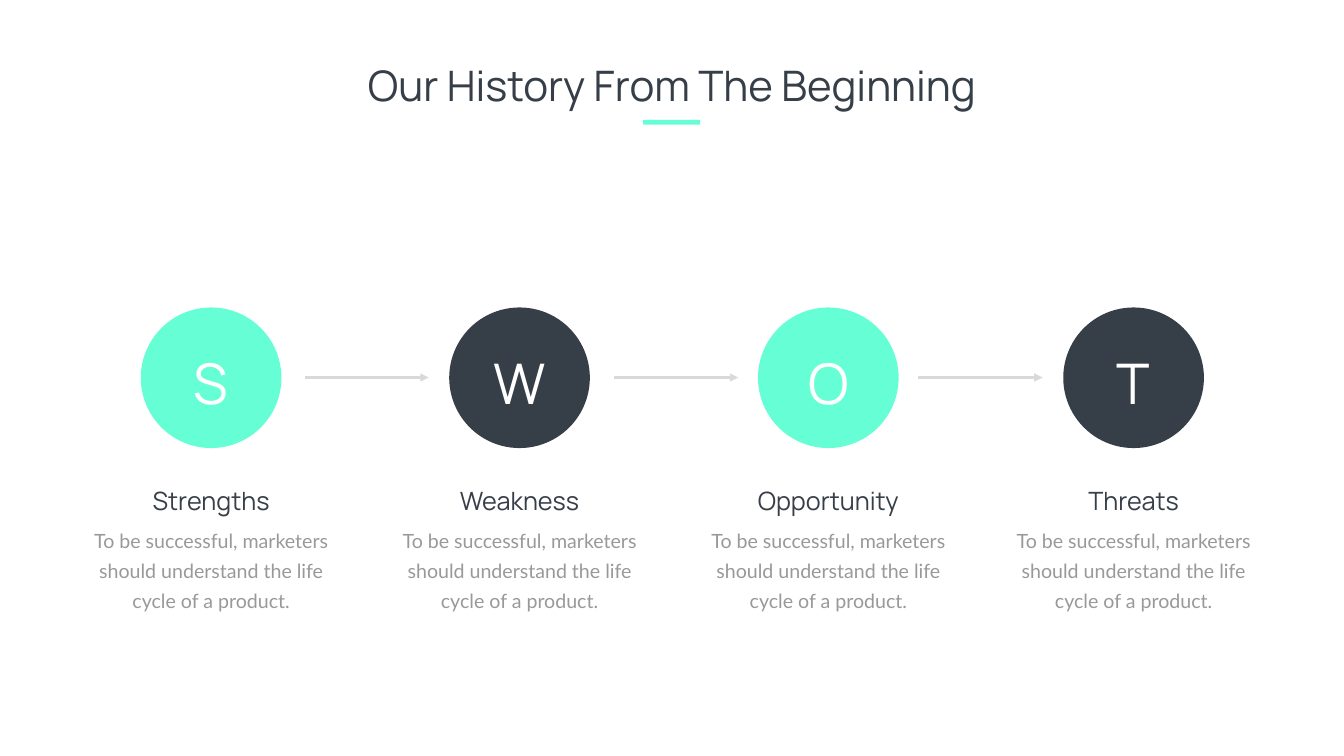
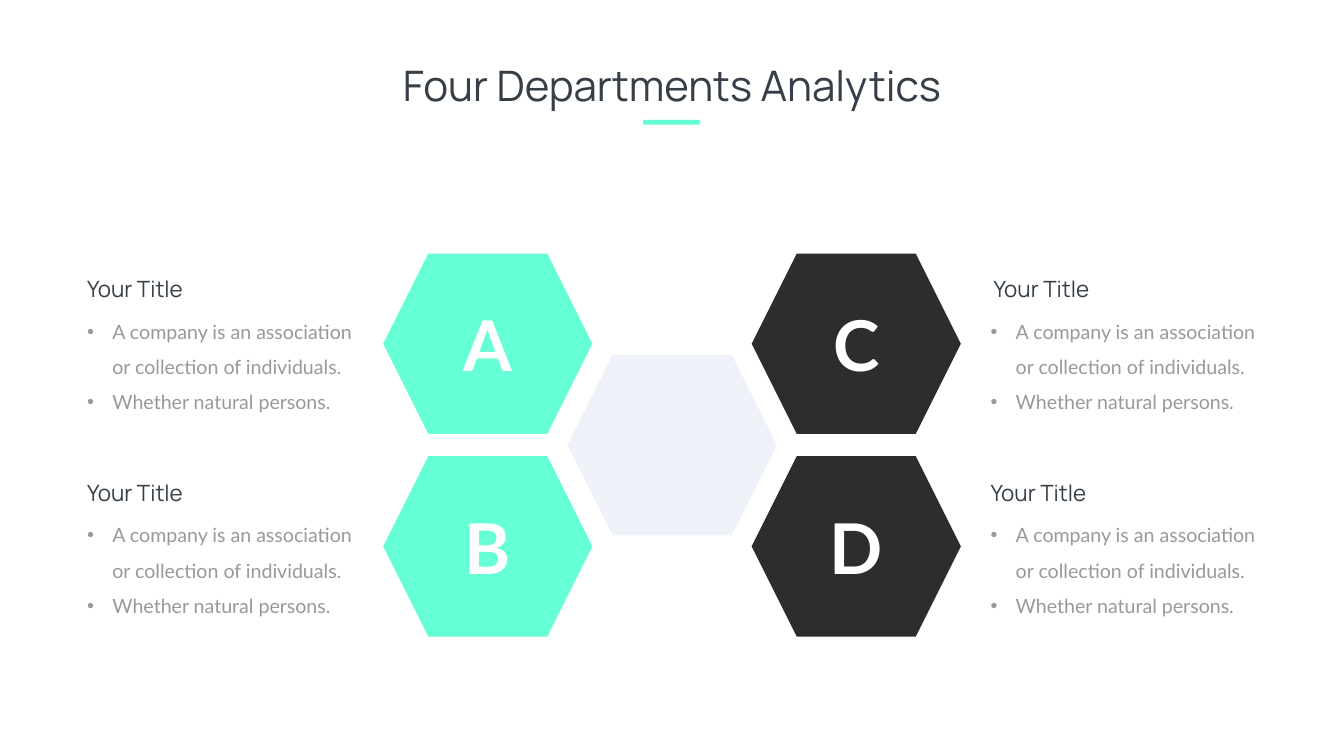
from lxml import etree
from pptx import Presentation
from pptx import util as u
from pptx.dml.color import RGBColor
from pptx.enum import shapes, text
from pptx.oxml.ns import qn

COLORS = {"mint": "66FFD5", "slate": "363E48", "black": "2C2D2C", "mist": "EFF1F8",
          "gray": "999999", "rule": "D9D9D9", "white": "FFFFFF"}
HEADING, BODY = "Manrope", "Lato"
PAGE_WIDTH, PAGE_HEIGHT = 1919.5, 1080


def color(name):
    return RGBColor.from_string(COLORS[name])


def write(frame, content, size, font=HEADING, ink="slate", bold=False, centered=False,
          spacing=None, bullet=False):
    """Fill a text frame, one paragraph per line of content."""
    for index, line in enumerate(content.split("\n")):
        para = frame.paragraphs[0] if index == 0 else frame.add_paragraph()
        para.alignment = text.PP_ALIGN.CENTER if centered else text.PP_ALIGN.LEFT
        if bullet:
            props = para._p.get_or_add_pPr()
            props.set("marL", str(u.Pt(36)))
            props.set("indent", str(-u.Pt(36)))
            etree.SubElement(props, qn("a:buFont")).set("typeface", "Arial")
            etree.SubElement(props, qn("a:buChar")).set("char", "•")
        if spacing:
            para.line_spacing = spacing
        span = para.add_run()
        span.text = line
        span.font.size = u.Pt(size)
        span.font.name = font
        span.font.bold = bold
        span.font.color.rgb = color(ink)


class Builder:
    def __init__(self):
        self.deck = Presentation()
        self.deck.slide_width = u.Pt(PAGE_WIDTH)
        self.deck.slide_height = u.Pt(PAGE_HEIGHT)
        self.page = None

    def add_page(self, title):
        """Start a blank slide with the shared title and its underline."""
        self.page = self.deck.slides.add_slide(self.deck.slide_layouts[6])
        self.label(title, 432, 81.4, 1055.5, 80, size=60, centered=True)
        self.shape(shapes.MSO_SHAPE.RECTANGLE, 918.7, 171.4, 81.4, 6.5, "mint")

    def shape(self, kind, left, top, width, height, fill):
        shape = self.page.shapes.add_shape(kind, u.Pt(left), u.Pt(top), u.Pt(width), u.Pt(height))
        shape.shadow.inherit = False
        shape.fill.solid()
        shape.fill.fore_color.rgb = color(fill)
        shape.line.fill.background()

    def label(self, content, left, top, width, height, wrap=True, **style):
        box = self.page.shapes.add_textbox(u.Pt(left), u.Pt(top), u.Pt(width), u.Pt(height))
        box.text_frame.word_wrap = wrap
        box.text_frame.auto_size = text.MSO_AUTO_SIZE.SHAPE_TO_FIT_TEXT
        write(box.text_frame, content, **style)

    def arrow(self, left, y, length):
        arrow = self.page.shapes.add_connector(
            shapes.MSO_CONNECTOR.STRAIGHT, u.Pt(left), u.Pt(y), u.Pt(left + length), u.Pt(y))
        arrow.line.color.rgb = color("rule")
        arrow.line.width = u.Pt(4)
        etree.SubElement(arrow.line._get_or_add_ln(), qn("a:tailEnd")).set("type", "triangle")
        etree.SubElement(arrow._element.spPr, qn("a:effectLst"))


def build_swot(builder):
    builder.add_page("Our History From The Beginning")
    diameter, column = 200.9, 351.4
    steps = [("Strengths", 301.5, "mint"), ("Weakness", 742, "slate"),
             ("Opportunity", 1183, "mint"), ("Threats", 1619, "slate")]

    # Circles with initials and captions
    for name, center, fill in steps:
        builder.shape(shapes.MSO_SHAPE.OVAL, center - diameter / 2, 439.2,
                      diameter, diameter, fill)
        builder.label(name[0], center - 76, 493.9, 152, 104.4, size=80, ink="white", centered=True)
        left = center - column / 2
        builder.label(name, left, 689.8, column, 51, size=36, centered=True)
        builder.label("To be successful, marketers should understand the life cycle of a product.",
                      left, 742.3, column, 132.5, size=28, font=BODY, ink="gray",
                      centered=True, spacing=u.Pt(43))

    # Arrows between circles
    for left in (434.9, 877, 1311.8):
        builder.arrow(left, 539.3, 177.3)


def build_departments(builder):
    builder.add_page("Four Departments Analytics")
    width, height = 298.8, 257.8
    hexagon = shapes.MSO_SHAPE.HEXAGON
    # Each side: hexagon left, text left, fill, letters
    sides = [(547.2, 117.4, "mint", "AB"), (1073.5, 1407.6, "black", "CD")]
    # Each row: hexagon top, letter top, heading top
    rows = [(362.2, 427, 390.2), (651.6, 717.8, 681.1)]

    for hex_left, text_left, fill, letters in sides:
        for letter, (hex_top, letter_top, heading_top) in zip(letters, rows):
            builder.shape(hexagon, hex_left, hex_top, width, height, fill)
            builder.label(letter, hex_left + (width - 156.2) / 2, letter_top, 156.2, 128.2,
                          size=100, font=BODY, ink="white", bold=True, centered=True)
            heading_left = text_left + (4.3 if letter == "C" else 0)
            builder.label("Your Title", heading_left, heading_top, 163.4, 46.1, wrap=False, size=32)
            builder.label("A company is an association or collection of individuals.\n"
                          "Whether natural persons.",
                          text_left, heading_top + 46.1, 394.6, 153.7, size=28, font=BODY,
                          ink="gray", spacing=1.5, bullet=True)

    # Central hexagon
    builder.shape(hexagon, 810.7, 506.9, width, height, "mist")


def main():
    builder = Builder()
    build_swot(builder)
    build_departments(builder)
    builder.deck.save("out.pptx")


if __name__ == "__main__":
    main()
